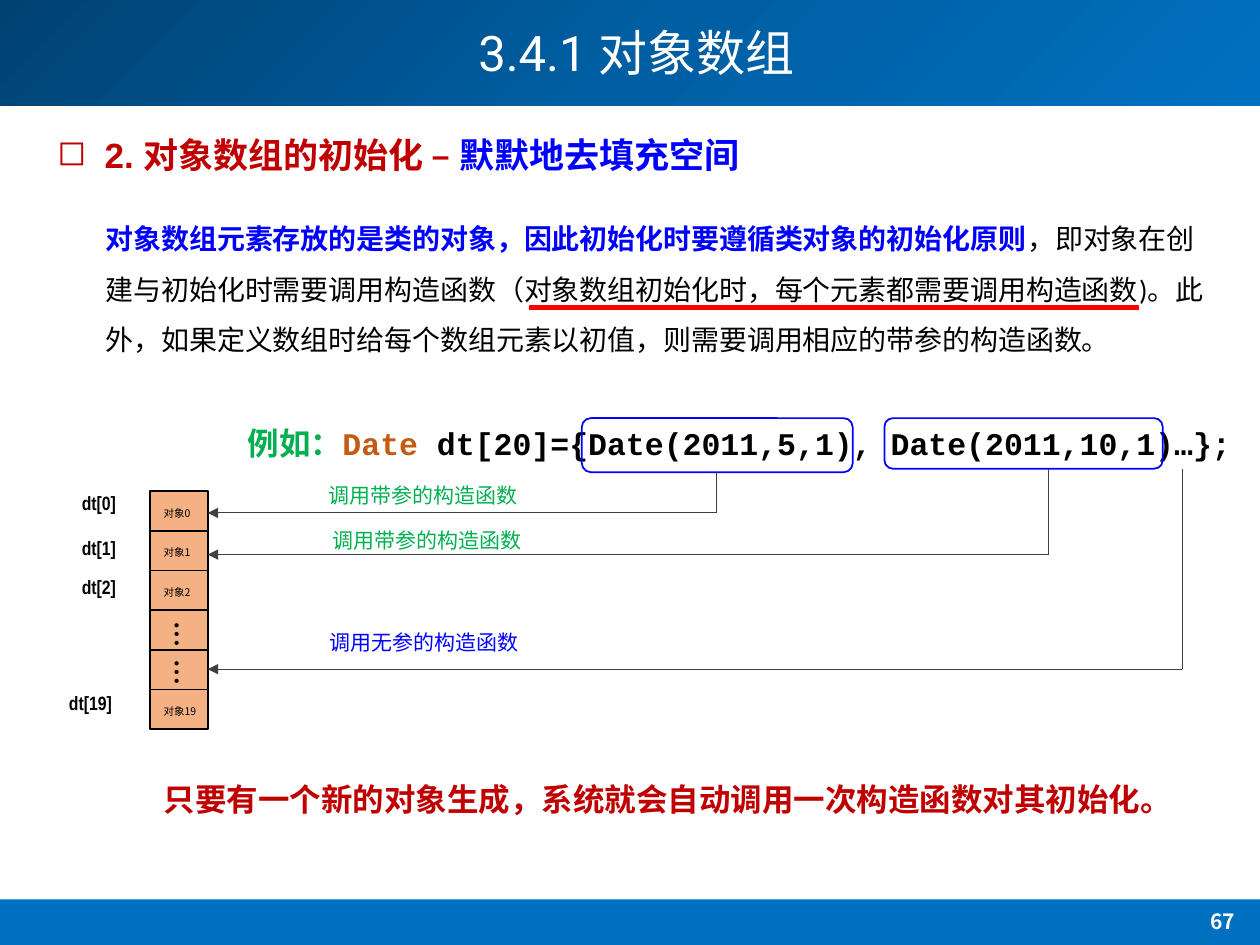
from copy import deepcopy

from pptx import Presentation
from pptx.dml.color import RGBColor
from pptx.enum.shapes import MSO_CONNECTOR as Link, MSO_SHAPE as Shape
from pptx.enum.text import MSO_ANCHOR as Anchor, PP_ALIGN as Align
from pptx.oxml.ns import qn
from pptx.util import Cm, Pt

COLORS = {
    "white": "FFFFFF", "black": "000000", "navy": "004272", "mid": "005EA2",
    "banner": "0070C0", "crimson": "C00000", "blue": "0000FF", "red": "FF0000",
    "green": "00B050", "orange": "C55A11", "cell": "F4B183", "gray": "404040",
}
CJK = "Noto Sans CJK SC"


def rgb(name):
    return RGBColor.from_string(COLORS[name])


def add_run(paragraph, text, size=12, font="Calibri", color="black", bold=False):
    run = paragraph.add_run()
    run.text = text
    run.font.size, run.font.name, run.font.bold = Pt(size), font, bold
    run.font.color.rgb = rgb(color)
    east_asian = run.font._element.makeelement(qn("a:ea"), {"typeface": CJK})
    run.font._element.find(qn("a:latin")).addnext(east_asian)


class SlideBuilder:
    def __init__(self, deck):
        self.slide = deck.slides.add_slide(deck.slide_layouts[5])
        self.shapes = self.slide.shapes

    def box(self, left, top, width, height, fill=None, line=None, kind=Shape.RECTANGLE):
        shape = self.shapes.add_shape(kind, Cm(left), Cm(top), Cm(width), Cm(height))
        shape.shadow.inherit = False
        if fill:
            shape.fill.solid()
            shape.fill.fore_color.rgb = rgb(fill)
        else:
            shape.fill.background()
        if line:
            shape.line.color.rgb = rgb(line)
            shape.line.width = Pt(1)
        else:
            shape.line.fill.background()
        return shape

    def gradient_box(self, left, top, width, height, stops):
        """Three-stop gradient running from top left to bottom right."""
        shape = self.box(left, top, width, height)
        shape.fill.gradient()
        shape.fill.gradient_angle = 315
        first = shape.element.find(".//" + qn("a:gs"))
        first.addnext(deepcopy(first))
        for index, (stop, color) in enumerate(zip(shape.fill.gradient_stops, stops)):
            stop.position = index / 2
            stop.color.rgb = rgb(color)

    def title(self, left, top, width, height, runs):
        title = self.shapes.title
        title.left, title.top, title.width, title.height = map(Cm, (left, top, width, height))
        title.element.getparent().append(title.element)
        title.text_frame.vertical_anchor = Anchor.MIDDLE
        paragraph = title.text_frame.paragraphs[0]
        paragraph.alignment, paragraph.line_spacing = Align.CENTER, 0.9
        for text, style in runs:
            add_run(paragraph, text, **style)

    def text(self, left, top, width, height, *runs, align=Align.LEFT,
             spacing=None, bullet=None, rotation=0):
        frame = self.shapes.add_textbox(Cm(left), Cm(top), Cm(width), Cm(height))
        frame.rotation = rotation
        frame.text_frame.word_wrap = True
        paragraph = frame.text_frame.paragraphs[0]
        paragraph.alignment = align
        if spacing:
            paragraph.line_spacing = spacing
        if bullet:
            props = paragraph._p.get_or_add_pPr()
            props.set("marL", str(Cm(0.95)))
            props.set("indent", str(-Cm(0.95)))
            props.append(props.makeelement(qn("a:buChar"), {"char": bullet}))
        for text, style in runs:
            add_run(paragraph, text, **style)

    def line(self, x1, y1, x2, y2, color="gray", width=0.5, arrow=False):
        link = self.shapes.add_connector(Link.STRAIGHT, Cm(x1), Cm(y1), Cm(x2), Cm(y2))
        link.line.color.rgb = rgb(color)
        link.line.width = Pt(width)
        props = link.element.spPr
        if arrow:
            outline = props.find(qn("a:ln"))
            outline.append(outline.makeelement(qn("a:tailEnd"), {"type": "triangle"}))
        props.append(props.makeelement(qn("a:effectLst"), {}))


def main():
    deck = Presentation()
    deck.slide_width, deck.slide_height = Cm(25.4), Cm(19.05)
    page = SlideBuilder(deck)

    # Banner, footer and title
    page.gradient_box(0, 0, 25.4, 2.13, ("navy", "mid", "banner"))
    page.box(0, 18.13, 25.4, 0.92, fill="banner")
    page.text(23.44, 18.19, 2.41, 0.91,
              ("67", dict(font=CJK, color="white", bold=True)), align=Align.CENTER)
    page.title(2.16, 0, 21.34, 2.26, [
        ("3.4.1 ", dict(size=28, font="Roboto", color="white")),
        ("对象数组", dict(size=28, font=CJK, color="white")),
    ])

    # Heading and explanation
    page.text(0.91, 2.57, 19.86, 1.12,
              ("2. 对象数组的初始化 – ", dict(size=20, font="Arial", color="crimson", bold=True)),
              ("默默地去填充空间", dict(size=20, font="Noto Sans CJK JP", color="blue", bold=True)),
              bullet="◻")
    page.text(1.88, 4.01, 22.91, 3.33,
              ("对象数组元素存放的是类的对象，因此初始化时要遵循类对象的初始化原则",
               dict(size=16, color="blue", bold=True)),
              ("，即对象在创建与初始化时需要调用构造函数（对象数组初始化时，每个元素都需要调用构造函数)。"
               "此外，如果定义数组时给每个数组元素以初值，则需要调用相应的带参的构造函数。",
               dict(size=16)),
              spacing=1.5)
    page.line(10.67, 6.2, 22.96, 6.2, color="red", width=3)

    # Array cells with their contents
    array_left, array_top, cell_width, cell_height = 3.02, 9.9, 1.17, 0.8
    for row in range(6):
        page.box(array_left, array_top + row * cell_height, cell_width, cell_height,
                 fill="cell", line="black")
    for index, row, label_left, label_top in (
            (0, 0, 1.4, 9.78), (1, 1, 1.4, 10.69), (2, 2, 1.4, 11.48), (19, 5, 1.14, 13.82)):
        page.text(label_left, label_top, 1.85, 0.99,
                  (f"dt[{index}]", dict(size=11, font="Arial Narrow", bold=True)))
        page.text(3.05, array_top + row * cell_height + 0.19, 1.6, 0.69,
                  (f"对象{index}", dict(size=6, font=CJK)))
    for dots_top in (12.04, 12.8):
        page.text(2.78, dots_top, 1.65, 1.5, ("…", dict(size=20)),
                  align=Align.CENTER, rotation=90)

    # Example declaration with framed initial values
    code = dict(size=18, font="Courier New", bold=True)
    page.text(4.75, 8.43, 20.85, 1.02,
              ("例如", dict(size=18, color="green", bold=True)),
              ("：", dict(code, color="green")),
              ("Date ", dict(code, color="orange")),
              ("dt[20]={Date(2011,5,1), Date(2011,10,1)…};", code))
    for left, width, height in ((11.73, 5.46, 1.09), (17.83, 5.61, 1.02)):
        page.box(left, 8.43, width, height, line="blue", kind=Shape.ROUNDED_RECTANGLE)

    # Constructor calls leading to the cells
    for x, start, end, note_left, note_top, note, color in (
            (14.45, 9.52, 10.34, 6.38, 9.6, "调用带参的构造函数", "green"),
            (21.13, 9.45, 11.18, 6.45, 10.52, "调用带参的构造函数", "green"),
            (23.83, 9.45, 13.49, 6.4, 12.57, "调用无参的构造函数", "blue")):
        page.line(x, end, array_left + cell_width, end, arrow=True)
        page.line(x, start, x, end)
        page.text(note_left, note_top, 7.29, 0.76, (note, dict(color=color)))

    # Conclusion
    page.text(3.05, 15.6, 21.18, 1.02,
              ("只要有一个新的对象生成，系统就会自动调用一次构造函数对其初始化。",
               dict(size=18, font=CJK, color="crimson", bold=True)))

    deck.save("out.pptx")


if __name__ == "__main__":
    main()
